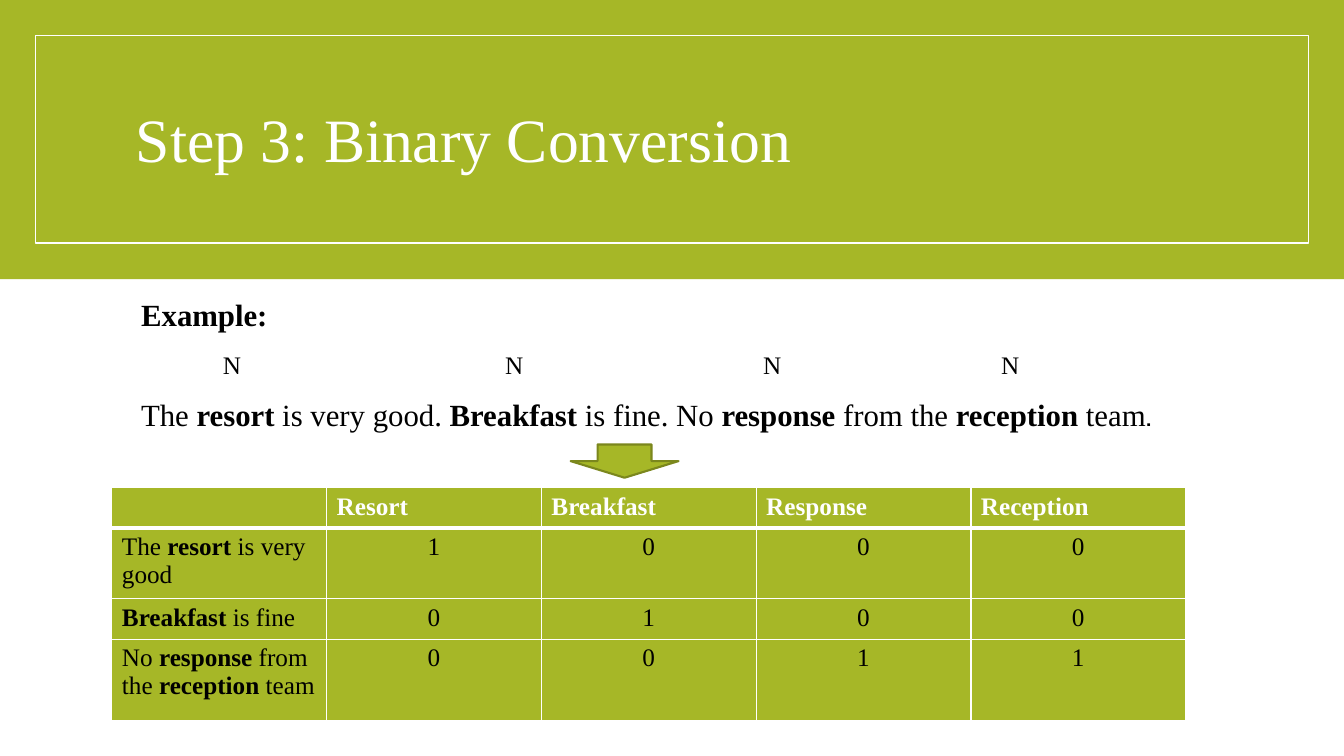
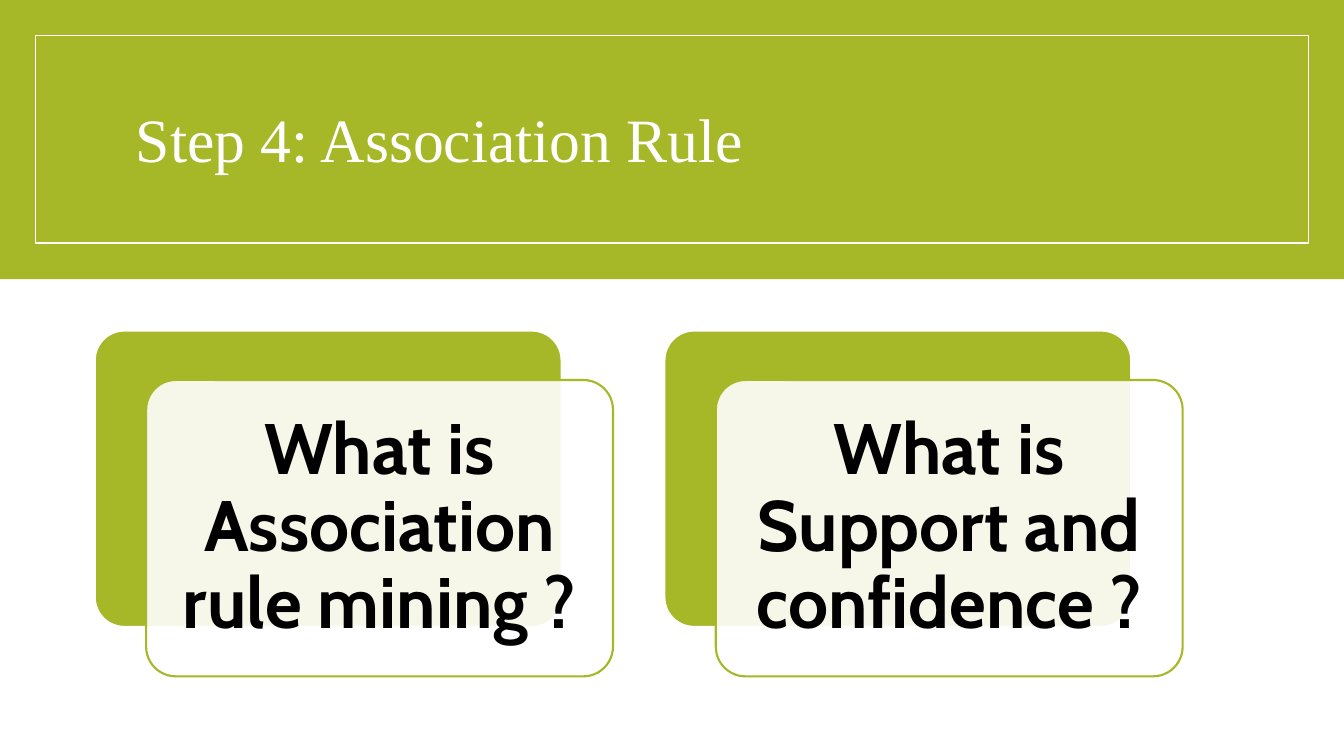
from pptx import Presentation
from pptx.dml.color import RGBColor
from pptx.enum.shapes import MSO_SHAPE as Shape
from pptx.enum.text import MSO_ANCHOR as Anchor, PP_ALIGN as Align
from pptx.oxml import parse_xml
from pptx.oxml.ns import nsdecls, qn
from pptx.util import Pt
from lxml.etree import SubElement

PX = 9144
WIDE, HIGH = 1333, 750
SERIF, SANS = "Times New Roman", "Cabin"
HUES = {"green": "A6B727", "olive": "7B871D", "white": "FFFFFF", "black": "000000"}


def px(*sizes):
    return [size * PX for size in sizes]


def hue(name):
    return RGBColor.from_string(HUES[name])


def add_run(para, text, size=18, font=SERIF, color="black", bold=False):
    run = para.add_run()
    run.text = text
    run.font.size = Pt(size)
    run.font.name = font
    run.font.bold = bold
    run.font.color.rgb = hue(color)


def write(frame, text, align=Align.LEFT, lead=None, before=0, tabs=(), bold=False, **style):
    para = frame.paragraphs[0]
    if para.runs:
        para = frame.add_paragraph()
        para.space_before = Pt(before)
    if tabs:
        stops = SubElement(para._p.get_or_add_pPr(), qn("a:tabLst"))
        for stop in tabs:
            SubElement(stops, qn("a:tab"), pos=str(stop * PX), algn="ctr")
    para.alignment = align
    if lead:
        para.line_spacing = lead
    for index, part in enumerate(text.split("**")):
        if part:
            add_run(para, part, bold=bold or index % 2 == 1, **style)
    return para


def add_box(slide, box, anchor=Anchor.TOP, left=10):
    frame = slide.shapes.add_textbox(*px(*box)).text_frame
    frame.word_wrap = True
    frame.vertical_anchor = anchor
    frame.margin_left = left * PX
    return frame


def add_form(slide, kind, box, fill=None, line=None, width=1.0, alpha=None):
    form = slide.shapes.add_shape(kind, *px(*box))
    form.shadow.inherit = False
    if fill:
        form.fill.solid()
        form.fill.fore_color.rgb = hue(fill)
        if alpha:
            tint = form.fill._xPr.find(qn("a:solidFill"))[0]
            SubElement(tint, qn("a:alpha"), val=str(alpha * 1000))
    else:
        form.fill.background()
    if line:
        form.line.color.rgb = hue(line)
        form.line.width = Pt(width)
    else:
        form.line.fill.background()
    return form


def add_slide(deck, title):
    slide = deck.slides.add_slide(deck.slide_layouts[6])
    add_form(slide, Shape.RECTANGLE, (0, 0, WIDE, 277), "green")
    add_form(slide, Shape.RECTANGLE, (35, 35, 1263, 206), line="white")
    frame = add_box(slide, (125, 67, 1080, 148), Anchor.MIDDLE)
    write(frame, title, lead=0.9, size=44, color="white")
    return slide


def edge(cell, **widths):
    for side, width in widths.items():
        cell._tc.get_or_add_tcPr().append(parse_xml(
            f'<a:ln{side} {nsdecls("a")} w="{Pt(width)}"><a:solidFill>'
            f'<a:srgbClr val="{HUES["white"]}"/></a:solidFill></a:ln{side}>'))


def add_grid(slide, spot, wide, highs, rows):
    count = len(rows[0])
    table = slide.shapes.add_table(
        len(rows), count, *px(*spot, wide * count, sum(highs))).table
    for col in table.columns:
        col.width = wide * PX
    for r, (high, row) in enumerate(zip(highs, rows)):
        table.rows[r].height = high * PX
        head = r == 0
        for c, text in enumerate(row):
            cell = table.cell(r, c)
            edge(cell, L=1, R=1, T=3 if r == 1 else 1, B=3 if head else 1)
            cell.fill.solid()
            cell.fill.fore_color.rgb = hue("green")
            write(cell.text_frame, text, bold=head,
                  align=Align.CENTER if r and c else Align.LEFT,
                  color="white" if head else "black")


def add_card(slide, left, top, text):
    size = (463, 294)
    back = add_form(slide, Shape.ROUNDED_RECTANGLE, (left, top, *size),
                    "green", "white", 1.5)
    front = add_form(slide, Shape.ROUNDED_RECTANGLE, (left + 51, top + 49, *size),
                     "white", "green", 1.5, alpha=90)
    for form in (back, front):
        form.adjustments[0] = 0.1
    frame = front.text_frame
    frame.word_wrap = True
    frame.vertical_anchor = Anchor.MIDDLE
    frame.margin_left = frame.margin_right = 21 * PX
    frame.margin_top = frame.margin_bottom = 21 * PX
    write(frame, text, align=Align.CENTER, lead=0.9, size=51, font=SANS, bold=True)


def show_step(deck):
    slide = add_slide(deck, "Step 3: Binary Conversion")
    body = add_box(slide, (125, 293, 1080, 374), left=15)
    gaps = {"lead": 0.9, "before": 14}
    write(body, "Example:", size=22, bold=True, **gaps)
    write(body, "\tN" * 4, tabs=(90, 370, 626, 862), **gaps)
    last = write(body, "The **resort** is very good. **Breakfast** is fine. "
                 "No **response** from the **reception** team", size=22, **gaps)
    add_run(last, ".", size=22, font=SANS)
    add_form(slide, Shape.DOWN_ARROW, (566, 441, 107, 33), "green", "olive", 1.5)
    add_grid(slide, (111, 484), 213, (37, 64, 37, 81), [
        ("", "Resort", "Breakfast", "Response", "Reception"),
        ("The **resort** is very good", "1", "0", "0", "0"),
        ("**Breakfast** is fine", "0", "1", "0", "0"),
        ("No **response** from the **reception** team", "0", "0", "1", "1"),
    ])


def show_rule(deck):
    slide = add_slide(deck, "Step 4: Association Rule")
    asks = ("What is Association rule mining ?", "What is Support and confidence ?")
    for index, ask in enumerate(asks):
        add_card(slide, 94 + index * 565, 328, ask)


def main():
    deck = Presentation()
    deck.slide_width, deck.slide_height = px(WIDE, HIGH)
    show_step(deck)
    show_rule(deck)
    deck.save("out.pptx")


if __name__ == "__main__":
    main()
